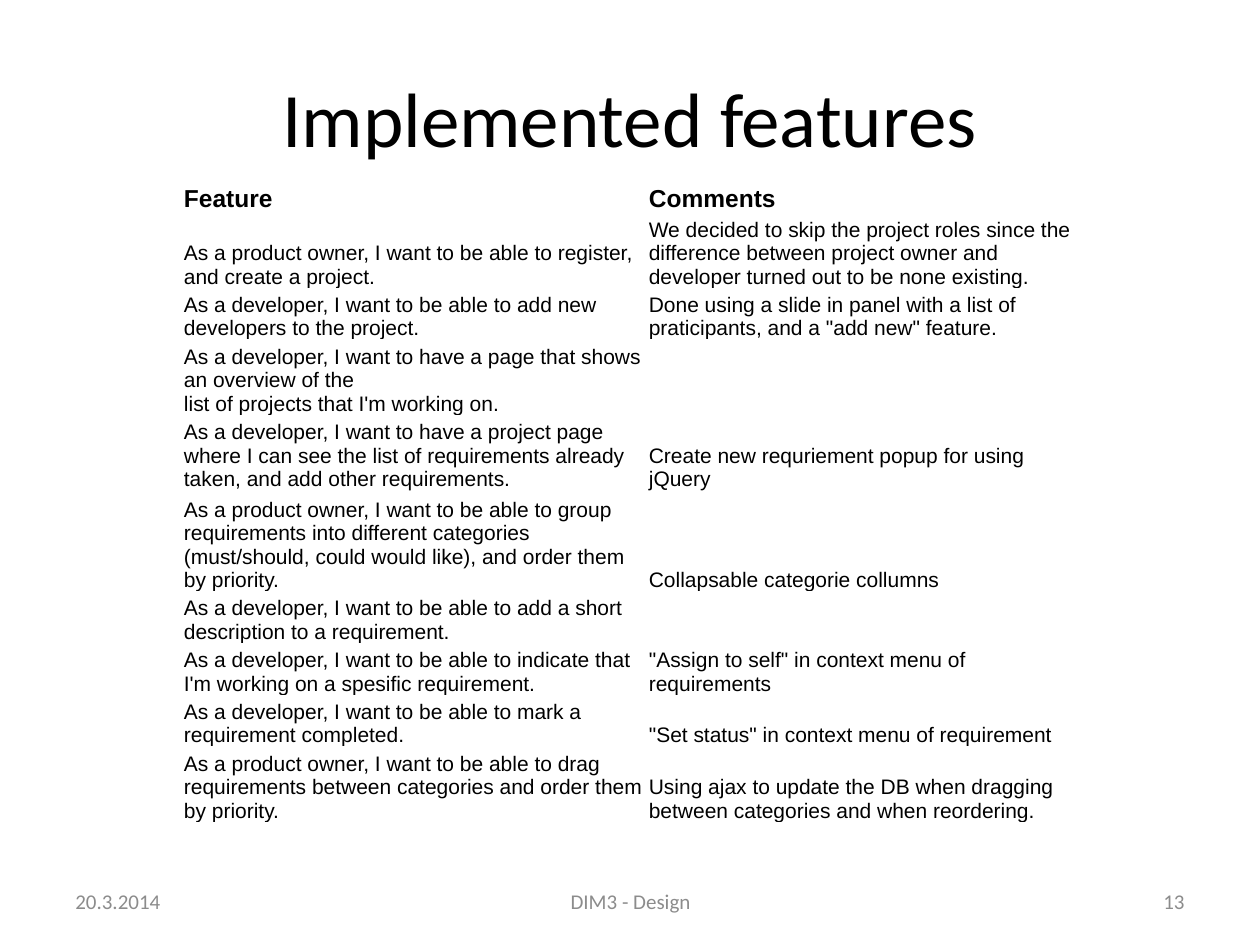
from pptx import Presentation
from pptx.dml.color import RGBColor
from pptx.enum.text import MSO_ANCHOR, PP_ALIGN
from pptx.util import Inches, Pt

LEFT, MID, RIGHT = PP_ALIGN.LEFT, PP_ALIGN.CENTER, PP_ALIGN.RIGHT
MIDDLE, BOTTOM = MSO_ANCHOR.MIDDLE, MSO_ANCHOR.BOTTOM
TITLE_ONLY = 5

COLORS = {"text": "000000", "footer": "8C8C8C"}
TITLE = "Implemented features"

# height, feature, comment (\v is a line break)
ROWS = [
    (0.24, "Feature", "Comments"),
    (0.6, "As a product owner, I want to be able to register, and create a project.",
     "We decided to skip the project roles since the difference between "
     "project owner and developer turned out to be none existing."),
    (0.41, "As a developer, I want to be able to add new developers to the project.",
     'Done using a slide in panel with a list of praticipants, and a "add new" feature.'),
    (0.6, "As a developer, I want to have a page that shows an overview of the\v"
     "list of projects that I'm working on.", ""),
    (0.6, "As a developer, I want to have a project page where I can see the list of "
     "requirements already taken, and add other requirements.",
     "Create new requriement popup for using jQuery"),
    (0.8, "As a product owner, I want to be able to group requirements into different "
     "categories (must/should, could would like), and order them by priority.",
     "Collapsable categorie collumns"),
    (0.41, "As a developer, I want to be able to add a short description to a requirement.",
     ""),
    (0.41, "As a developer, I want to be able to indicate that I'm working on a spesific "
     "requirement.", '"Assign to self" in context menu of requirements'),
    (0.41, "As a developer, I want to be able to mark a requirement completed.",
     '"Set status" in context menu of requirement'),
    (0.6, "As a product owner, I want to be able to drag requirements between categories "
     "and order them by priority.",
     "Using ajax to update the DB when dragging between categories and when reordering."),
]
WIDTHS = [3.69, 3.43]

# left, width, alignment, text
FOOTERS = [
    (0.5, 2.33, LEFT, "20.3.2014"),
    (3.42, 3.17, MID, "DIM3 - Design"),
    (7.17, 2.33, RIGHT, "13"),
]


def write(frame, text, size, face, color="text", align=LEFT, bold=False):
    frame.text = text
    for para in frame.paragraphs:
        para.alignment = align
        for font in [para.font] + [run.font for run in para.runs]:
            font.size, font.name, font.bold = Pt(size), face, bold
            font.color.rgb = RGBColor.from_string(COLORS[color])


def add_title(slide):
    title = slide.shapes.title
    title.left, title.top = Inches(0.5), Inches(0.3)
    title.width, title.height = Inches(9), Inches(1.25)
    write(title.text_frame, TITLE, 44, "Calibri", align=MID)
    title.text_frame.vertical_anchor = MIDDLE


def add_features(slide):
    total = sum(row[0] for row in ROWS)
    table = slide.shapes.add_table(
        len(ROWS), len(WIDTHS), Inches(1.44), Inches(1.45),
        Inches(sum(WIDTHS)), Inches(total)).table
    table.first_row = table.horz_banding = False
    for col, width in zip(table.columns, WIDTHS):
        col.width = Inches(width)
    for r, (height, *texts) in enumerate(ROWS):
        table.rows[r].height = Inches(height)
        head = r == 0
        for c, text in enumerate(texts):
            cell = table.cell(r, c)
            cell.fill.background()
            cell.vertical_anchor = BOTTOM
            cell.margin_left = cell.margin_right = cell.margin_top = Inches(0.02)
            cell.margin_bottom = 0
            write(cell.text_frame, text, 14 if head else 12, "Arial", bold=head)


def add_footers(slide):
    for left, width, align, text in FOOTERS:
        box = slide.shapes.add_textbox(
            Inches(left), Inches(6.95), Inches(width), Inches(0.4))
        frame = box.text_frame
        frame.word_wrap = True
        frame.vertical_anchor = MIDDLE
        write(frame, text, 12, "Calibri", "footer", align)


def main():
    deck = Presentation()
    deck.slide_width, deck.slide_height = Inches(10), Inches(7.5)
    slide = deck.slides.add_slide(deck.slide_layouts[TITLE_ONLY])
    add_title(slide)
    add_features(slide)
    add_footers(slide)
    deck.save("out.pptx")


if __name__ == "__main__":
    main()
